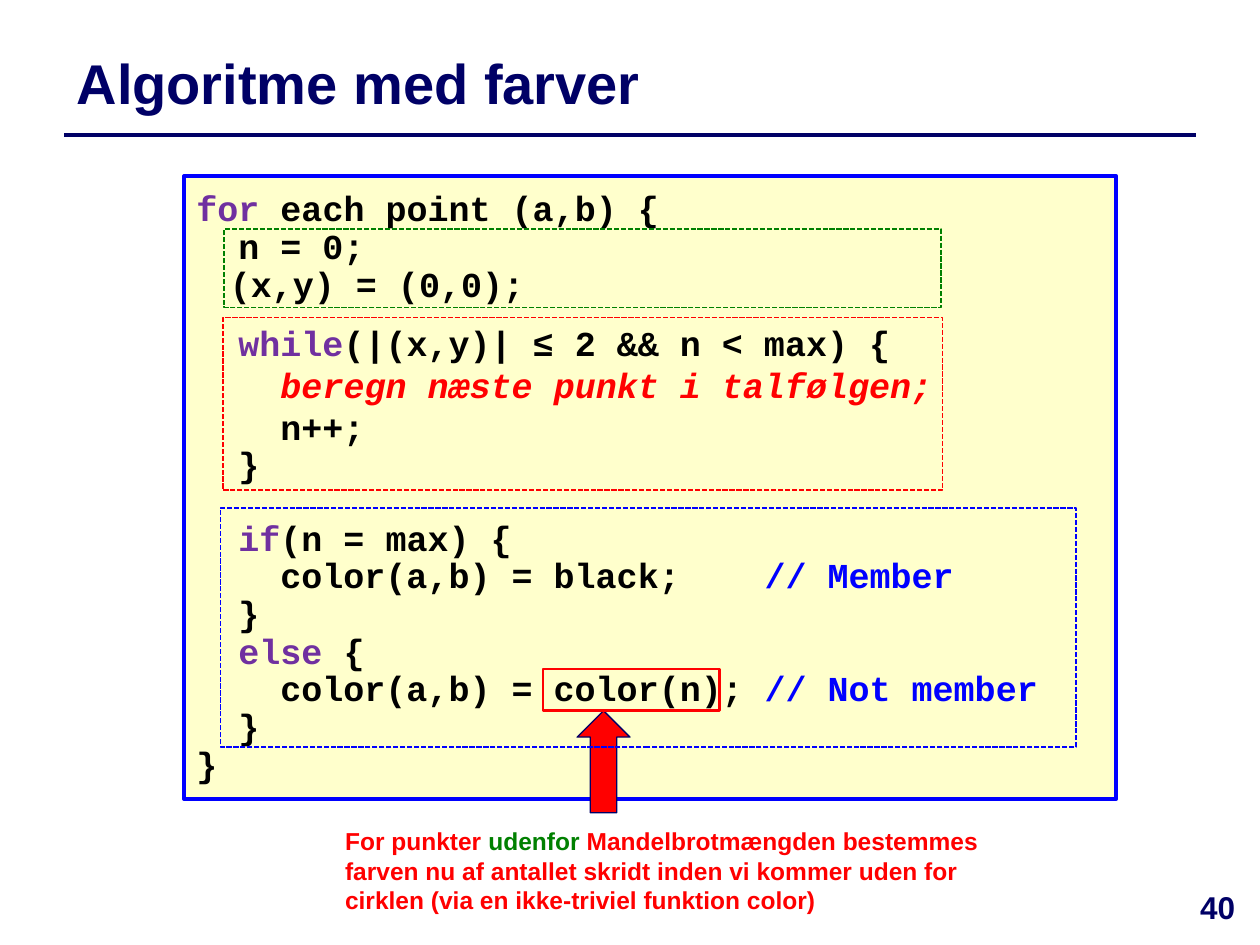
from lxml import etree
from pptx import Presentation
from pptx.dml.color import RGBColor
from pptx.enum.dml import MSO_LINE
from pptx.enum.shapes import MSO_CONNECTOR, MSO_SHAPE
from pptx.enum.text import MSO_ANCHOR, PP_ALIGN
from pptx.oxml.ns import qn
from pptx.util import Inches, Pt

RECT, ARROW = MSO_SHAPE.RECTANGLE, MSO_SHAPE.UP_ARROW
DASH = MSO_LINE.SQUARE_DOT
TOP, MIDDLE = MSO_ANCHOR.TOP, MSO_ANCHOR.MIDDLE
LEFT, CENTER = PP_ALIGN.LEFT, PP_ALIGN.CENTER

NAVY = RGBColor(0x00, 0x00, 0x66)
CREAM = RGBColor(0xFF, 0xFF, 0xCC)
BLUE = RGBColor(0x00, 0x00, 0xFF)
RED = RGBColor(0xFF, 0x00, 0x00)
GREEN = RGBColor(0x00, 0x80, 0x00)
PURPLE = RGBColor(0x70, 0x30, 0xA0)
BLACK = RGBColor(0x00, 0x00, 0x00)

# A line is (line spacing, space before, runs); a run is (text, format).
KEY, NOTE = {"color": PURPLE}, {"color": BLUE}
STEP = {"color": RED, "italic": True}
CODE = [
    (0.9, 0, [("for ", KEY), ("each point (a,b) {", {})]),
    (0.9, 0, [("  n = 0;", {})]),
    (0.9, 0, [("  ", {"size": 16}), ("(x,y) = (0,0);", {})]),
    (1.4, 0, [("  ", {}), ("while", KEY), ("(|(x,y)| ≤ 2 && n < max) {", {})]),
    (1, 0, [("    ", {}), ("beregn næste punkt i talfølgen;", STEP)]),
    (1, 0, [("    n++;", {})]),
    (0.9, 0, [("  }", {})]),
    (1.4, 8, [("  ", {}), ("if", KEY), ("(n = max) {", {})]),
    (0.9, 0, [("    color(a,b) = black;    ", {}), ("// Member", NOTE)]),
    (0.9, 0, [("  }", {})]),
    (0.9, 0, [("  ", {}), ("else ", KEY), ("{", {})]),
    (0.9, 0, [("    color(a,b) = color(n); ", {}), ("// Not member", NOTE)]),
    (0.9, 0, [("  }", {})]),
    (0.9, 0, [("}", {})]),
]
TITLE = [(1, 0, [("Algoritme med farver", {})])]
PAGE = [(1, 0, [("40", {})])]
CAPTION = [(1, 0, [
    ("For punkter ", {}),
    ("udenfor ", {"color": GREEN}),
    ("Mandelbrotmængden bestemmes farven nu af antallet skridt inden vi "
     "kommer uden for cirklen (via en ikke-triviel funktion color)", {}),
])]


def write(shape, lines, size, color, font="Arial", align=LEFT, anchor=TOP,
          inset=0.05):
    """Fill a shape with lines; a run's own format overrides the defaults."""
    frame = shape.text_frame
    frame.word_wrap = True
    frame.vertical_anchor = anchor
    frame.margin_top = Inches(inset)
    for i, (spacing, before, runs) in enumerate(lines):
        para = frame.add_paragraph() if i else frame.paragraphs[0]
        para.alignment = align
        para.line_spacing = spacing
        para.space_before = Pt(before)
        for text, look in runs:
            run = para.add_run()
            run.text = text
            run.font.name = font
            run.font.bold = True
            run.font.size = Pt(look.get("size", size))
            run.font.color.rgb = look.get("color", color)
            run.font.italic = look.get("italic", False)


def draw(slide, kind, box, line, width, fill=None, dash=None):
    shape = slide.shapes.add_shape(kind, *map(Inches, box))
    shape.shadow.inherit = False
    if fill is None:
        shape.fill.background()
    else:
        shape.fill.solid()
        shape.fill.fore_color.rgb = fill
    shape.line.color.rgb = line
    shape.line.width = Pt(width)
    if dash:
        shape.line.dash_style = dash
    return shape


def label(slide, box, lines, **look):
    write(slide.shapes.add_textbox(*map(Inches, box)), lines, **look)


def rule(slide, left, right, y):
    line = slide.shapes.add_connector(
        MSO_CONNECTOR.STRAIGHT, *map(Inches, (left, y, right, y)))
    line.line.color.rgb = NAVY
    line.line.width = Pt(2)
    etree.SubElement(line._element.spPr, qn("a:effectLst"))


def main():
    deck = Presentation()
    deck.slide_width, deck.slide_height = Inches(10), Inches(7.5)
    slide = deck.slides.add_slide(deck.slide_layouts[6])

    rule(slide, 0.51, 9.49, 1.07)
    label(slide, (0.51, 0.28, 8.98, 0.75), TITLE, size=32, color=NAVY,
          anchor=MIDDLE)
    panel = draw(slide, RECT, (1.46, 1.4, 7.4, 4.94), BLUE, 2.25, fill=CREAM)
    write(panel, CODE, size=20, color=BLACK, font="Courier New", inset=0.12)

    draw(slide, RECT, (1.77, 2.52, 5.71, 1.37), RED, 1, dash=DASH)
    draw(slide, ARROW, (4.58, 5.64, 0.42, 0.81), NAVY, 0.75, fill=RED)
    label(slide, (9.33, 7, 0.67, 0.5), PAGE, size=18, color=NAVY, align=CENTER)
    label(slide, (2.64, 6.51, 5.35, 0.81), CAPTION, size=14, color=RED)
    draw(slide, RECT, (1.75, 4.03, 6.79, 1.9), BLUE, 1, dash=DASH)
    draw(slide, RECT, (1.78, 1.82, 5.69, 0.62), GREEN, 1, dash=DASH)
    draw(slide, RECT, (4.31, 5.31, 1.4, 0.33), RED, 1.5)

    deck.save("out.pptx")


if __name__ == "__main__":
    main()
